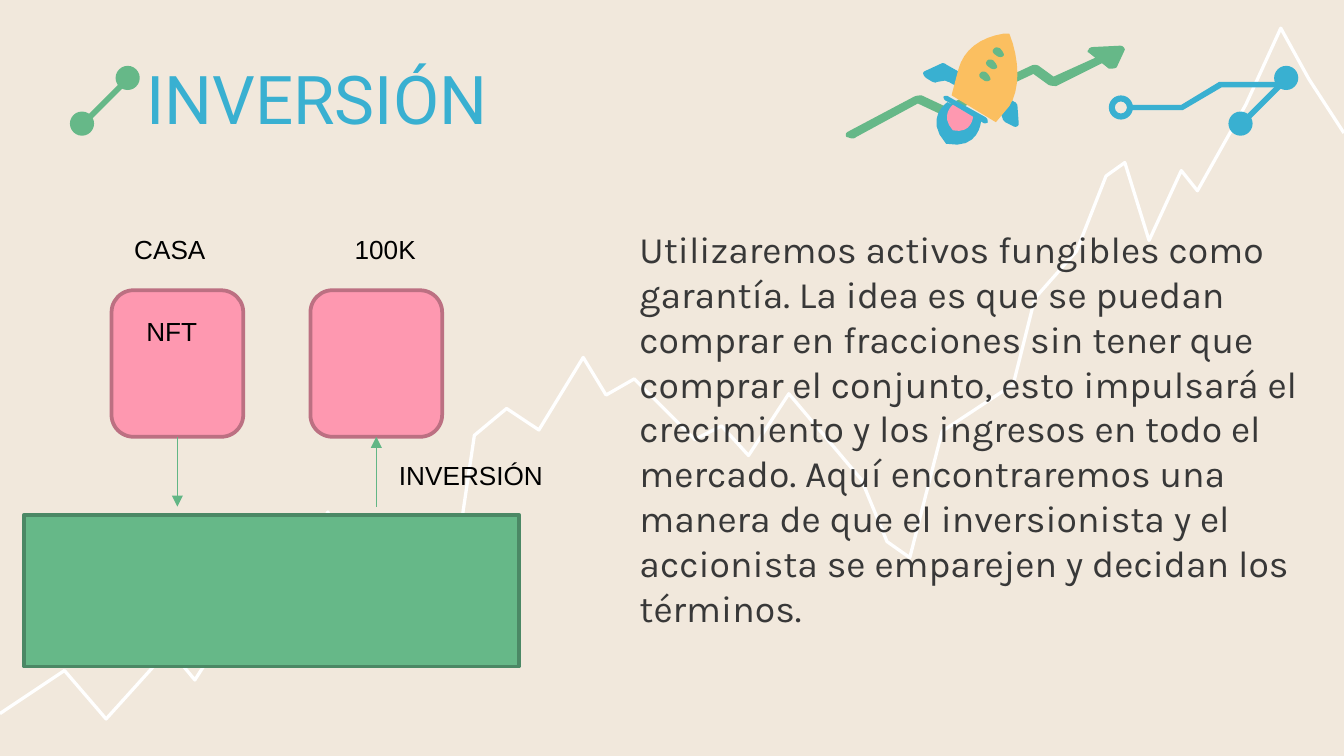
from lxml.etree import SubElement
from pptx import Presentation
from pptx.dml.color import RGBColor
from pptx.enum.shapes import MSO_CONNECTOR, MSO_SHAPE
from pptx.enum.text import MSO_ANCHOR, PP_ALIGN
from pptx.oxml.ns import qn
from pptx.util import Inches, Pt

CREAM = RGBColor(0xF1, 0xE8, 0xDC)
WHITE = RGBColor(0xFF, 0xFF, 0xFF)
BLACK = RGBColor(0, 0, 0)
GREY = RGBColor(0x38, 0x38, 0x38)
BLUE = RGBColor(0x39, 0xB0, 0xD1)
GREEN = RGBColor(0x66, 0xB8, 0x88)
DARK_GREEN = RGBColor(0x4B, 0x88, 0x65)
ARROW_GREEN = RGBColor(0x62, 0xB6, 0x85)
PINK = RGBColor(0xFE, 0x98, 0xB0)
DARK_PINK = RGBColor(0xBC, 0x70, 0x82)
YELLOW = RGBColor(0xFB, 0xBF, 0x60)

LABEL = dict(size=Pt(14), name="Arial")
BODY = dict(size=Pt(20), name="Karla")
TITLE = dict(size=Pt(36), name="Roboto")

# Paths in hundredths of an inch: pairs are corners, six numbers are a Bezier curve
MARKET = [
    (0, 511), (48, 479), (79, 515), (126, 463), (145, 486), (174, 441),
    (216, 416), (244, 361), (261, 411), (281, 399), (313, 473), (337, 412),
    (353, 304), (377, 284), (401, 300), (434, 246), (451, 274), (472, 262),
    (517, 307), (537, 297), (557, 319), (587, 273), (641, 337), (660, 383),
    (677, 395), (701, 301), (754, 266), (770, 202), (801, 167), (823, 111),
    (837, 101), (855, 159), (879, 107), (891, 122), (927, 58), (953, 1),
    (974, 39), (1000, 79)]
BAR = [(15, 41), (42, 14), (39, 11), (12, 38)]
CIRCUIT = [(127, 0), (127, 4), (84, 4), (55, 21), (15, 21), (15, 17), (54, 17), (82, 0)]
TRAIL = [
    (207, 10), (206, 9, 205, 9, 204, 9), (184, 10), (183, 10, 181, 11, 181, 12),
    (180, 13, 180, 14, 181, 14), (186, 18), (155, 32), (144, 24),
    (142, 23, 140, 23, 138, 24), (74, 54), (57, 46), (55, 46, 53, 46, 51, 47),
    (2, 73), (0, 74, 0, 76, 1, 77), (2, 77, 4, 78, 5, 78), (6, 78, 7, 78, 8, 77),
    (54, 52), (71, 60), (73, 61, 75, 61, 76, 60), (140, 30), (151, 38),
    (153, 39, 155, 39, 157, 39), (191, 22), (196, 26),
    (197, 26, 198, 26, 199, 26), (201, 26, 202, 25, 202, 25), (208, 12),
    (208, 12, 208, 11, 207, 10)]
LEFT_FIN = [
    (75, 23), (74, 22, 73, 22, 72, 22), (59, 28), (57, 29, 58, 31, 60, 33),
    (65, 36), (66, 36, 67, 37, 68, 36), (74, 35), (75, 35, 76, 36, 77, 36),
    (86, 41), (91, 32)]
RIGHT_FIN = [
    (110, 41), (104, 51), (113, 56), (113, 56, 115, 57, 115, 58), (117, 63),
    (117, 64, 118, 65, 119, 66), (125, 69), (127, 70, 129, 69, 129, 67),
    (128, 53), (127, 52, 127, 51, 126, 51)]
HULL = [(122, 0), (118, 0), (100, 3, 88, 12, 84, 27), (79, 46), (112, 66),
        (122, 54), (130, 42, 130, 20, 122, 0)]
BAND = [(77, 47), (76, 46, 74, 46, 73, 47), (73, 48, 74, 50, 75, 50), (102, 66),
        (103, 67, 105, 67, 106, 66), (106, 65, 106, 63, 104, 62)]
WINDOW = [(115, 11), (113, 10, 111, 10, 110, 12), (109, 13, 110, 15, 112, 16),
          (114, 18, 117, 18, 118, 16), (118, 15, 117, 13, 115, 11)]
FLAME = [(76, 51), (76, 51, 58, 63, 75, 82), (100, 87, 101, 65, 101, 65)]
CORE = [(80, 53), (80, 53, 70, 61, 80, 72), (94, 75, 95, 62, 95, 62)]


def paint(sp, fill=None, line=None, width=2):
    sp.shadow.inherit = False
    for fmt, color in ((sp.fill, fill), (sp.line.fill, line)):
        if color is None:
            fmt.background()
        else:
            fmt.solid()
            fmt.fore_color.rgb = color
    if line is not None:
        sp.line.width = Pt(width)
    return sp


def flatten(path, steps=8):
    pts = [path[0]]
    for seg in path[1:]:
        if len(seg) == 2:
            pts.append(seg)
            continue
        ctrl = (pts[-1], seg[:2], seg[2:4], seg[4:])
        for t in (i / steps for i in range(1, steps + 1)):
            weights = ((1 - t) ** 3, 3 * t * (1 - t) ** 2, 3 * t * t * (1 - t), t ** 3)
            pts.append(tuple(sum(w * c[k] for w, c in zip(weights, ctrl)) for k in (0, 1)))
    return pts


def outline(s, x, y, path, close=True, **colors):
    pts = [(Inches(x + u / 100), Inches(y + v / 100)) for u, v in flatten(path)]
    fb = s.shapes.build_freeform(*pts[0])
    fb.add_line_segments(pts[1:], close=close)
    return paint(fb.convert_to_shape(), **colors)


def shape(s, kind, x, y, w, h, **colors):
    return paint(s.shapes.add_shape(kind, *map(Inches, (x, y, w, h))), **colors)


def write(sp, text, font, color):
    tf = sp.text_frame
    tf.word_wrap = True
    p = tf.paragraphs[0]
    p.alignment = PP_ALIGN.LEFT
    r = p.add_run()
    r.text = text
    for key, value in font.items():
        setattr(r.font, key, value)
    r.font.color.rgb = color
    return tf


def place_middle(tf):
    tf.vertical_anchor = MSO_ANCHOR.MIDDLE
    for side in ("left", "top", "right", "bottom"):
        setattr(tf, f"margin_{side}", Inches(0.1))


def text_box(s, x, y, w, h, text, font=LABEL, color=BLACK):
    return write(s.shapes.add_textbox(*map(Inches, (x, y, w, h))), text, font, color)


def title(s, x, y, w, h, text):
    sp = s.shapes.title
    for key, value in dict(left=x, top=y, width=w, height=h).items():
        setattr(sp, key, Inches(value))
    place_middle(write(sp, text, TITLE, BLUE))


def dumbbell(s, x, y, color, dot=0.18):
    for dx, dy in ((0, 0.34), (0.34, 0)):
        shape(s, MSO_SHAPE.OVAL, x + dx, y + dy, dot, dot, fill=color)
    outline(s, x, y, BAR, fill=color)


def circuit(s, x, y):
    outline(s, x, y, CIRCUIT, fill=BLUE)
    shape(s, MSO_SHAPE.DONUT, x, y + 0.1, 0.18, 0.18, fill=BLUE)


def rocket(s, x, y):
    for path, color in ((TRAIL, GREEN), (LEFT_FIN, BLUE), (RIGHT_FIN, BLUE),
                        (HULL, YELLOW), (BAND, BLUE), (FLAME, BLUE), (CORE, PINK)):
        outline(s, x, y, path, fill=color)
    for i in range(3):
        outline(s, x - 0.05 * i, y + 0.09 * i, WINDOW, fill=GREEN)


def arrow(s, x, y1, y2, **joint):
    c = s.shapes.add_connector(MSO_CONNECTOR.STRAIGHT, *map(Inches, (x, y1, x, y2)))
    for join, target in joint.items():
        getattr(c, join)(target, 2)
    c.line.color.rgb = ARROW_GREEN
    c.line.width = Pt(0.75)
    SubElement(c.line._get_or_add_ln(), qn("a:tailEnd"), type="triangle")
    SubElement(c._element.spPr, qn("a:effectLst"))


def diagram(s, x, y):
    # Pool and the two assets above it
    shape(s, MSO_SHAPE.RECTANGLE, x, y + 2.14, 3.68, 1.13, fill=GREEN, line=DARK_GREEN)
    house, money = (
        shape(s, MSO_SHAPE.ROUNDED_RECTANGLE, x + 0.65 + 1.48 * i, y + 0.47, 0.98, 1.09,
              fill=PINK, line=DARK_PINK) for i in range(2))
    # Flows in and out of the pool
    arrow(s, x + 1.14, y + 1.56, y + 2.08, begin_connect=house)
    arrow(s, x + 2.62, y + 2.08, y + 1.56, end_connect=money)
    for dx, dy, w, text in ((0.81, 0.61, 0.68, "NFT"), (0.72, 0, 1.12, "CASA"),
                            (2.36, 0, 0.85, "100K"), (2.69, 1.68, 1.34, "INVERSIÓN")):
        text_box(s, x + dx, y + dy, w, 0.34, text)


def main():
    prs = Presentation()
    prs.slide_width = Inches(10)
    prs.slide_height = prs.slide_width * 9 // 16
    s = prs.slides.add_slide(prs.slide_layouts[5])
    s.background.fill.solid()
    s.background.fill.fore_color.rgb = CREAM

    # Backdrop and decorations
    outline(s, 0, 0.2, MARKET, close=False, line=WHITE, width=1.75)
    dumbbell(s, 0.52, 0.49, GREEN)
    circuit(s, 8.25, 0.61)
    dumbbell(s, 9.14, 0.49, BLUE)

    # Content
    title(s, 0.99, 0.18, 8.31, 1.09, "INVERSIÓN")
    place_middle(text_box(
        s, 4.66, 1.4, 5.34, 3.57,
        "Utilizaremos activos fungibles como garantía. La idea es que se puedan comprar "
        "en fracciones sin tener que comprar el conjunto, esto impulsará el crecimiento y "
        "los ingresos en todo el mercado. Aquí encontraremos una manera de que el "
        "inversionista y el accionista se emparejen y decidan los términos.", BODY, GREY))
    rocket(s, 6.29, 0.25)
    diagram(s, 0.18, 1.69)
    prs.save("out.pptx")


if __name__ == "__main__":
    main()
